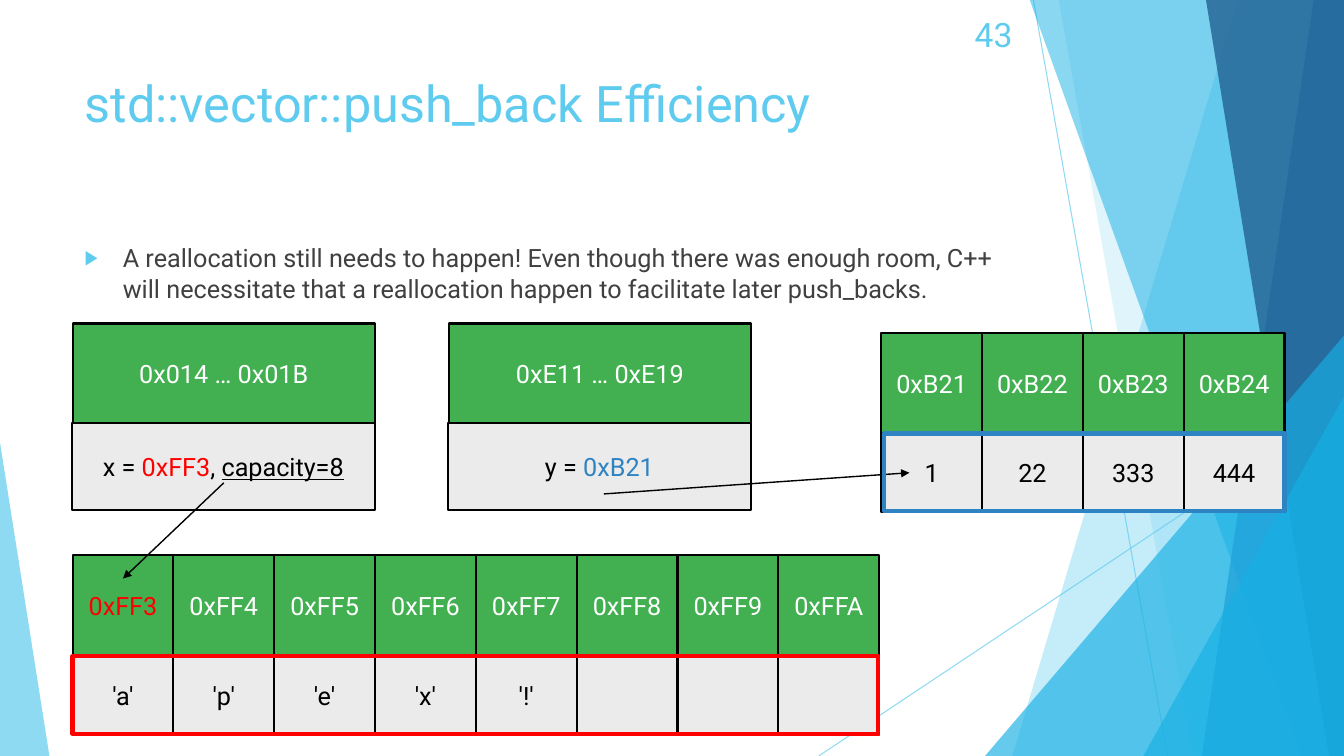
import pptx
import pptx.util
import pptx.dml.color
import pptx.enum.shapes
import pptx.enum.text
import pptx.oxml
import pptx.oxml.ns

SCALE = 9144
FONT = "Roboto"
CELL = 100
VALUE_HEIGHT = 78
COLORS = {
    "sky": "5FCBEF", "cyan": "17B0E4", "blue": "2E83C3", "navy": "226292",
    "green": "42B051", "gray": "EBEBEB", "red": "FF0000",
    "black": "000000", "white": "FFFFFF", "body": "404040",
}
SHAPES = pptx.enum.shapes.MSO_SHAPE
ALIGN = pptx.enum.text.PP_ALIGN
ANCHOR = pptx.enum.text.MSO_ANCHOR
BACK_LINES = [(1025, 0, 1158, 750), (1333, 403, 812, 750)]
BANDS = [
    (1228, 1004, "sky", 36),
    (1050, 1183, "sky", 20),
    (1021, 1291, "cyan", 50),
    (1303, 1192, "blue", 70),
    (1196, 1318, "navy", 80),
]
TRIANGLES = [
    ((977, 333, 356, 417), 1, "cyan", 66),
    ((1134, 393, 199, 357), 1, "cyan", 66),
    ((0, 439, 49, 311), 0, "sky", 70),
]


def px(*lengths):
    return [pptx.util.Emu(length * SCALE) for length in lengths]


def rgb(color):
    return pptx.dml.color.RGBColor.from_string(COLORS[color])


def add_xml(parent, tag, **attributes):
    child = pptx.oxml.parse_xml(f"<a:{tag} {pptx.oxml.ns.nsdecls('a')}/>")
    for name, value in attributes.items():
        child.set(name, value)
    parent.append(child)
    return child


def set_alpha(shape, percent):
    for color in shape.element.spPr.iter(pptx.oxml.ns.qn("a:srgbClr")):
        add_xml(color, "alpha", val=str(percent * 1000))


def style_span(span, size, color, underline=None):
    span.font.name = FONT
    span.font.size = pptx.util.Pt(size)
    span.font.color.rgb = rgb(color)
    span.font.underline = underline


def write(box, text, size, color, align, anchor):
    frame = box.text_frame
    frame.word_wrap = True
    frame.vertical_anchor = anchor
    frame.text = text
    para = frame.paragraphs[0]
    para.alignment = align
    style_span(para.runs[0], size, color)
    return para


def append_span(para, text, color, underline=None):
    span = para.add_run()
    span.text = text
    style_span(span, 18, color, underline)


def add_text(page, place, text, size, color, align=ALIGN.LEFT, anchor=ANCHOR.TOP):
    box = page.shapes.add_textbox(*px(*place))
    return write(box, text, size, color, align, anchor)


def add_bullet(para):
    para.space_before = pptx.util.Pt(10)
    properties = para._p.get_or_add_pPr()
    indent = 38 * SCALE
    properties.set("marL", str(indent))
    properties.set("indent", str(-indent))
    add_xml(add_xml(properties, "buClr"), "srgbClr", val=COLORS["sky"])
    add_xml(properties, "buSzPct", val="80000")
    add_xml(properties, "buFont", typeface="Arial")
    add_xml(properties, "buChar", char="▶")


def add_line(page, ends, color, width, alpha=None, arrow=False):
    straight = pptx.enum.shapes.MSO_CONNECTOR.STRAIGHT
    line = page.shapes.add_connector(straight, *px(*ends))
    line.line.color.rgb = rgb(color)
    line.line.width = pptx.util.Pt(width)
    if alpha:
        set_alpha(line, alpha)
    properties = line.element.spPr
    if arrow:
        add_xml(properties.find(pptx.oxml.ns.qn("a:ln")), "tailEnd", type="triangle")
    add_xml(properties, "effectLst")


def tint(shape, color, alpha):
    shape.shadow.inherit = False
    shape.fill.solid()
    shape.fill.fore_color.rgb = rgb(color)
    shape.line.fill.background()
    set_alpha(shape, alpha)


def add_band(page, top_x, bottom_x, color, alpha):
    builder = page.shapes.build_freeform(top_x, -1, scale=SCALE)
    builder.add_line_segments([(1333, -1), (1333, 750), (bottom_x, 750)], close=True)
    tint(builder.convert_to_shape(), color, alpha)


def add_triangle(page, place, apex, color, alpha):
    shape = page.shapes.add_shape(SHAPES.ISOSCELES_TRIANGLE, *px(*place))
    shape.adjustments[0] = apex
    tint(shape, color, alpha)


def add_rectangle(page, place, line_color, line_width):
    box = page.shapes.add_shape(SHAPES.RECTANGLE, *px(*place))
    box.shadow.inherit = False
    box.fill.background()
    box.line.color.rgb = rgb(line_color)
    box.line.width = pptx.util.Pt(line_width)
    return box


def add_cell(page, place, text, fill, color):
    box = add_rectangle(page, place, "black", 1.5)
    box.fill.solid()
    box.fill.fore_color.rgb = rgb(fill)
    if text:
        return write(box, text, 18, color, ALIGN.CENTER, ANCHOR.MIDDLE)


def add_array(page, left, top, addresses, values, first_color="white"):
    for index, (address, value) in enumerate(zip(addresses, values)):
        x = left + index * CELL
        color = "white" if index else first_color
        add_cell(page, (x, top, CELL, CELL), address, "green", color)
        add_cell(page, (x, top + CELL, CELL, VALUE_HEIGHT), value, "gray", "black")


def add_variable(page, left, addresses, name, pointer, color):
    add_cell(page, (left, 321, 300, CELL), addresses, "green", "white")
    para = add_cell(page, (left - 1, 420, 301, 86), f"{name} = ", "gray", "black")
    append_span(para, pointer, color)
    return para


def add_background(page):
    for ends in BACK_LINES:
        add_line(page, ends, "sky", 0.75, alpha=70)
    for band in BANDS:
        add_band(page, *band)
    for triangle in TRIANGLES:
        add_triangle(page, *triangle)


def main():
    deck = pptx.Presentation()
    deck.slide_width, deck.slide_height = px(1333, 750)
    page = deck.slides.add_slide(deck.slide_layouts[6])

    add_background(page)
    add_text(page, (74, 67, 940, 144), "std::vector::push_back Efficiency", 36, "sky")
    add_bullet(add_text(
        page, (74, 236, 940, 84),
        "A reallocation still needs to happen! Even though there was enough room, C++ "
        "will necessitate that a reallocation happen to facilitate later push_backs.",
        18, "body"))
    add_text(page, (939, 14, 75, 40), "43", 24, "sky", ALIGN.RIGHT, ANCHOR.MIDDLE)

    add_array(page, 72, 551,
              ["0xFF3", "0xFF4", "0xFF5", "0xFF6", "0xFF7", "0xFF8", "0xFF9", "0xFFA"],
              ["'a'", "'p'", "'e'", "'x'", "'!'", "", "", ""], "red")
    add_array(page, 874, 330,
              ["0xB21", "0xB22", "0xB23", "0xB24"], ["1", "22", "333", "444"])

    para = add_variable(page, 72, "0x014 … 0x01B", "x", "0xFF3", "red")
    append_span(para, ", ", "black")
    append_span(para, "capacity=8", "black", underline=True)
    add_variable(page, 445, "0xE11 … 0xE19", "y", "0xB21", "blue")

    add_line(page, (222, 479, 122, 574), "black", 1, arrow=True)
    add_line(page, (599, 490, 902, 469), "black", 1, arrow=True)
    add_rectangle(page, (877, 430, 397, 77), "blue", 3)
    add_rectangle(page, (72, 651, 799, 77), "red", 3)

    deck.save("out.pptx")


if __name__ == "__main__":
    main()
